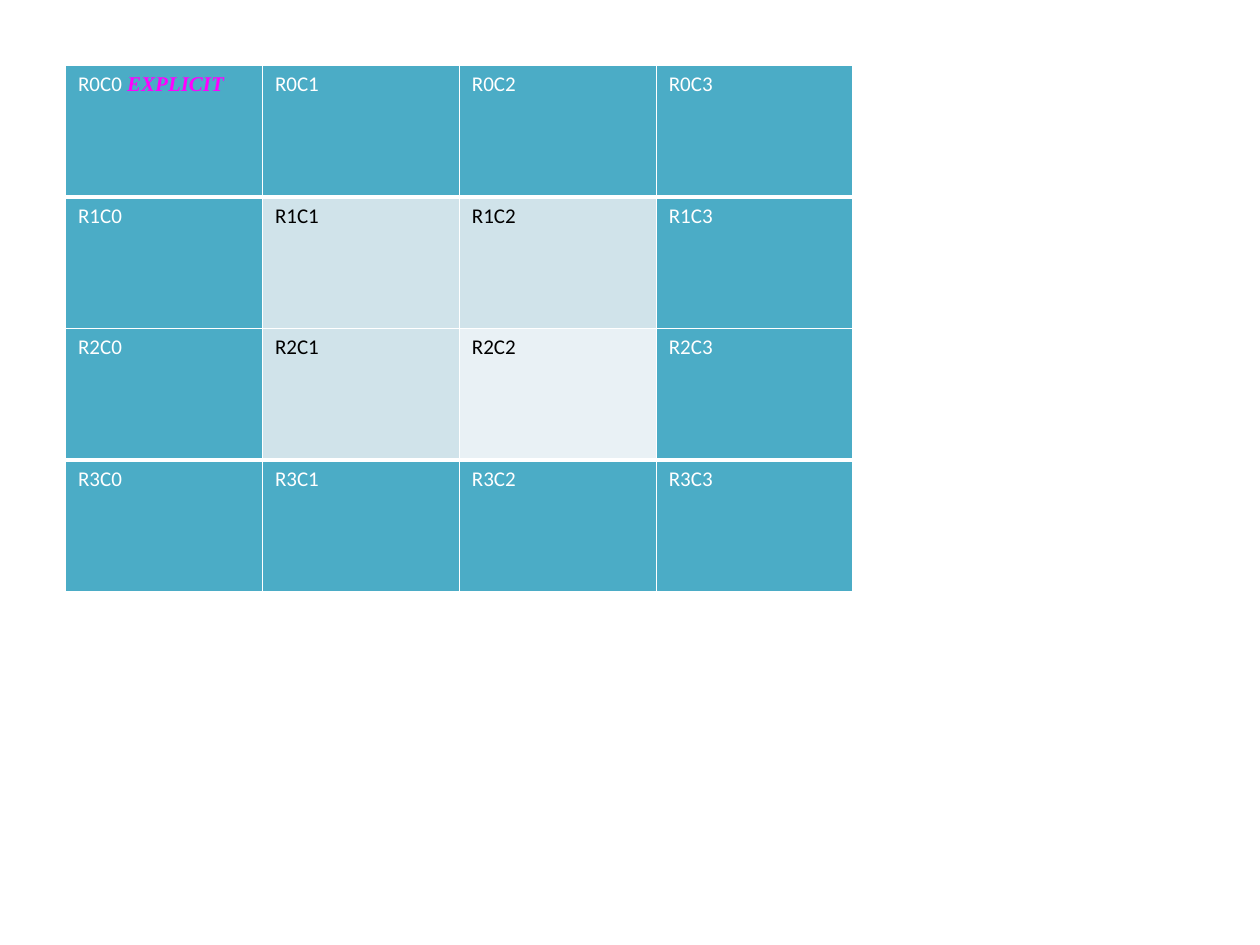
"""Build a slide with a four by four table whose outer cells are accented."""
from dataclasses import dataclass

from lxml import etree
from pptx import Presentation
from pptx import util as u
from pptx.dml.color import RGBColor
from pptx.oxml import ns

WHITE = RGBColor(0xFF, 0xFF, 0xFF)
BLACK = RGBColor(0x00, 0x00, 0x00)
MAGENTA = RGBColor(0xFF, 0x00, 0xFF)
TEAL = RGBColor(0x4B, 0xAC, 0xC6)
BAND = RGBColor(0xD0, 0xE3, 0xEA)
PALE = RGBColor(0xE9, 0xF1, 0xF5)

SIZE = 4
LAST = SIZE - 1
MARGIN = u.Cm(1.32)
COL_WIDTH = u.Cm(3.97)
ROW_HEIGHT = u.Cm(2.65)
THIN, THICK = u.Pt(1), u.Pt(3)


@dataclass(frozen=True)
class Run:
    text: str
    color: RGBColor
    font: str = "Calibri"
    strong: bool = False


@dataclass(frozen=True)
class CellStyle:
    fill: RGBColor
    color: RGBColor
    top: int
    bottom: int


def style_at(row: int, col: int) -> CellStyle:
    """Return the style of the cell at a grid position."""
    top = THICK if row == LAST else THIN
    bottom = THICK if row == 0 else THIN
    if row in (0, LAST) or col in (0, LAST):
        return CellStyle(TEAL, WHITE, top, bottom)
    return CellStyle(PALE if row == col == 2 else BAND, BLACK, top, bottom)


def add_border(cell, side: str, width: int) -> None:
    """Add a solid white border to one side of a cell."""
    ln = etree.SubElement(cell._tc.get_or_add_tcPr(), ns.qn(f"a:ln{side}"), w=str(width))
    fill = etree.SubElement(ln, ns.qn("a:solidFill"))
    etree.SubElement(fill, ns.qn("a:srgbClr"), val=str(WHITE))


def draw_cell(cell, style: CellStyle, runs: list[Run]) -> None:
    """Draw the borders, fill and text of a cell."""
    for side, width in zip("LRTB", (THIN, THIN, style.top, style.bottom)):
        add_border(cell, side, width)
    cell.fill.solid()
    cell.fill.fore_color.rgb = style.fill
    p = cell.text_frame.paragraphs[0]
    for run in runs:
        r = p.add_run()
        r.text = run.text
        r.font.name = run.font
        r.font.size = u.Pt(12)
        r.font.bold = r.font.italic = run.strong
        r.font.color.rgb = run.color


def main() -> None:
    """Create the presentation and save it."""
    prs = Presentation()
    prs.slide_width, prs.slide_height = u.Cm(25.4), u.Cm(19.05)
    s = prs.slides.add_slide(prs.slide_layouts[6])
    tbl = s.shapes.add_table(
        SIZE, SIZE, MARGIN, MARGIN, COL_WIDTH * SIZE, ROW_HEIGHT * SIZE
    ).table
    tbl.first_row = tbl.horz_banding = False
    for row in range(SIZE):
        for col in range(SIZE):
            style = style_at(row, col)
            runs = [Run(f"R{row}C{col}", style.color)]
            if row == col == 0:
                runs.append(Run(" EXPLICIT", MAGENTA, "Times New Roman", True))
            draw_cell(tbl.cell(row, col), style, runs)
    prs.save("out.pptx")


if __name__ == "__main__":
    main()
